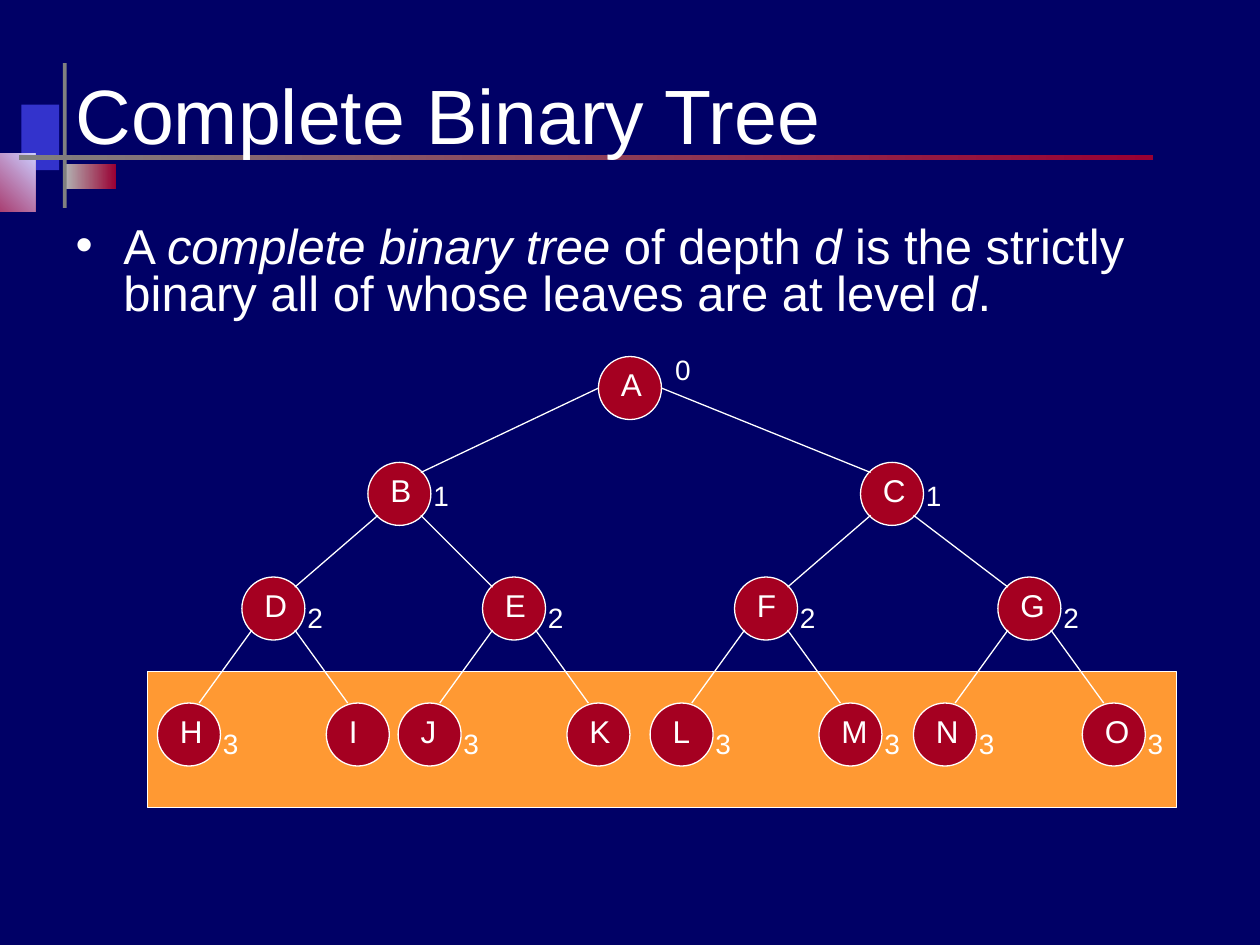
"""Build a slide that defines a complete binary tree and draws one of depth three."""
from lxml import etree
from pptx import Presentation, util as u
from pptx.dml.color import RGBColor
from pptx.enum import shapes, text
from pptx.oxml.ns import qn

FONT, WHITE, RED, GREY, WINE = "Arial", "FFFFFF", "A50021", "808080", "990033"
TITLE = "Complete Binary Tree"
BODY = [("A ", False), ("complete binary tree", True), (" of depth ", False),
        ("d", True), (" is the strictly binary all of whose leaves are at level ", False),
        ("d", True), (".", False)]
DECOR = [
    ((0.17, 0.83, 0.3, 0.52), ("3333CC",), 0),
    ((0.52, 1.3, 0.4, 0.2), ("B2B2B2", WINE), 0),
    ((-0.33, 1.22, 0.61, 0.46), (WINE, "CCCCFF"), 45),
    ((0.5, 0.5, 0.03, 1.15), (GREY,), 0),
    ((0.15, 1.23, 9, 0.04), (GREY, WINE), 0),
]
PANEL = (1.17, 5.33, 8.17, 1.08)
LEVELS = ["A", "BC", "DEFG", "HIJKLMNO"]
TOPS = [2.83, 3.67, 4.58, 5.58]
LEFTS = [[4.75], [2.92, 6.83], [1.92, 3.83, 5.83, 7.92]]
TAGS = [(0.51, -0.08), (0.42, 0.08), (0.42, 0.14), (0.42, 0.14)]
SIZE, SPREAD = 0.5, 0.67
WIDE, BARE = "GIKMO", "IK"


def tint(code):
    return RGBColor.from_string(code)


def place(item, box):
    item.left, item.top, item.width, item.height = map(u.Inches, box)


def draw(slide, kind, box, fills, angle=0, line=None):
    item = slide.shapes.add_shape(kind, *map(u.Inches, box))
    item.shadow.inherit = False
    if len(fills) == 1:
        item.fill.solid()
        item.fill.fore_color.rgb = tint(fills[0])
    else:
        item.fill.gradient()
        item.fill.gradient_angle = angle
        for stop, code in zip(item.fill.gradient_stops, fills):
            stop.color.rgb = tint(code)
    if line:
        item.line.color.rgb = tint(line)
        item.line.width = u.Pt(0.75)
    else:
        item.line.fill.background()


def write(para, words, size=18, color=WHITE, italic=False):
    run = para.add_run()
    run.text = words
    font = run.font
    font.name, font.size, font.italic = FONT, u.Pt(size), italic
    font.color.rgb = tint(color)


def label(slide, words, box, size, wrap):
    frame = slide.shapes.add_textbox(*map(u.Inches, box)).text_frame
    frame.word_wrap = wrap
    write(frame.paragraphs[0], words, size=size)


def link(slide, start, end):
    edge = slide.shapes.add_connector(
        shapes.MSO_CONNECTOR.STRAIGHT, *map(u.Inches, start + end))
    edge.line.color.rgb = tint(WHITE)
    edge.line.width = u.Pt(0.75)
    etree.SubElement(edge._element.spPr, qn("a:effectLst"))


def head(slide):
    title, body = slide.placeholders
    for item, box in ((title, (0.5, 0.4, 9, 1)), (body, (0.5, 1.75, 9, 0.92))):
        slide.shapes._spTree.append(item._element)
        place(item, box)
        item.text_frame.auto_size = text.MSO_AUTO_SIZE.NONE
    title.text_frame.vertical_anchor = text.MSO_ANCHOR.MIDDLE
    para = title.text_frame.paragraphs[0]
    para.alignment = text.PP_ALIGN.LEFT
    write(para, TITLE, size=44)

    para = body.text_frame.paragraphs[0]
    props = para._p.get_or_add_pPr()
    props.set("marL", str(u.Inches(0.38)))
    props.set("indent", str(u.Inches(-0.38)))
    hue = etree.SubElement(props, qn("a:buClr"))
    etree.SubElement(hue, qn("a:srgbClr")).set("val", WHITE)
    etree.SubElement(props, qn("a:buChar")).set("char", "•")
    para.line_spacing, para.space_before = 0.8, u.Pt(0)
    for words, slant in BODY:
        write(para, words, size=28, italic=slant)


def tree(slide):
    rows = LEFTS + [[x + side for x in LEFTS[-1] for side in (-SPREAD, SPREAD)]]
    for depth, (names, top, row) in enumerate(zip(LEVELS, TOPS, rows)):
        dx, dy = TAGS[depth]
        for name, x in zip(names, row):
            draw(slide, shapes.MSO_SHAPE.OVAL, (x, top, SIZE, SIZE), (RED,), line=WHITE)
            width = 0.42 if name in WIDE else 0.33
            label(slide, name, (x + 0.08, top + 0.02, width, 0.4), 18, True)
            if name not in BARE:
                label(slide, str(depth), (x + dx, top + dy, 0.32, 0.37), 16, False)

    for depth in range(1, len(rows)):
        out, drop = (0, SIZE / 2) if depth == 1 else (0.08, 0.42)
        inset, dip = (0.17, 0) if depth == 3 else (0.08, 0.08)
        for spot, x in enumerate(rows[depth]):
            base = rows[depth - 1][spot // 2]
            right = spot % 2
            start = (base + (SIZE - out if right else out), TOPS[depth - 1] + drop)
            end = (x + (inset if right else SIZE - inset), TOPS[depth] + dip)
            link(slide, start, end)


def main():
    deck = Presentation()
    deck.slide_width, deck.slide_height = u.Inches(10), u.Inches(7.5)
    slide = deck.slides.add_slide(deck.slide_layouts[1])
    slide.background.fill.solid()
    slide.background.fill.fore_color.rgb = tint("000066")
    for box, fills, angle in DECOR:
        draw(slide, shapes.MSO_SHAPE.RECTANGLE, box, fills, angle)
    draw(slide, shapes.MSO_SHAPE.RECTANGLE, PANEL, ("FF9933",), line=WHITE)
    head(slide)
    tree(slide)
    deck.save("out.pptx")


if __name__ == "__main__":
    main()
